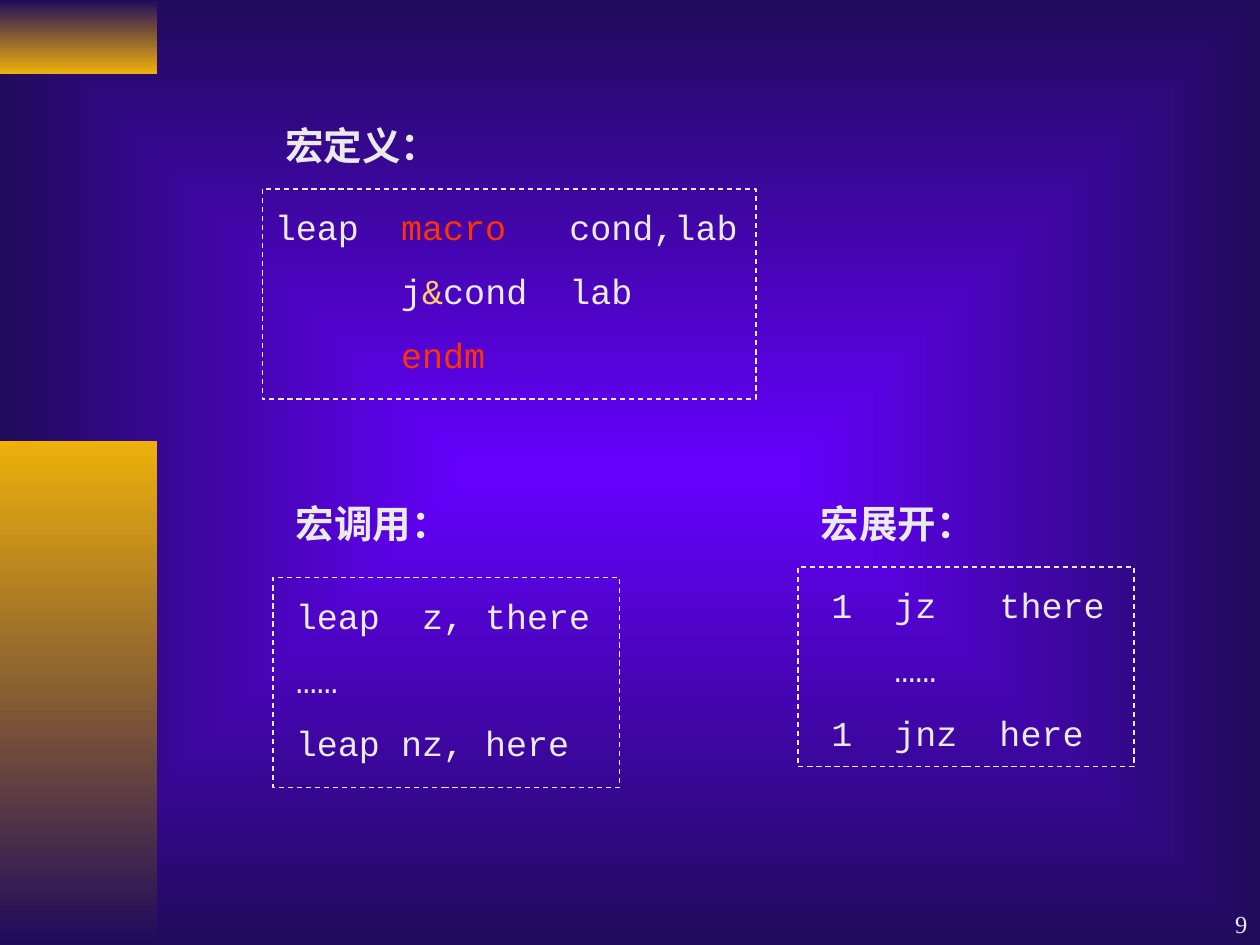
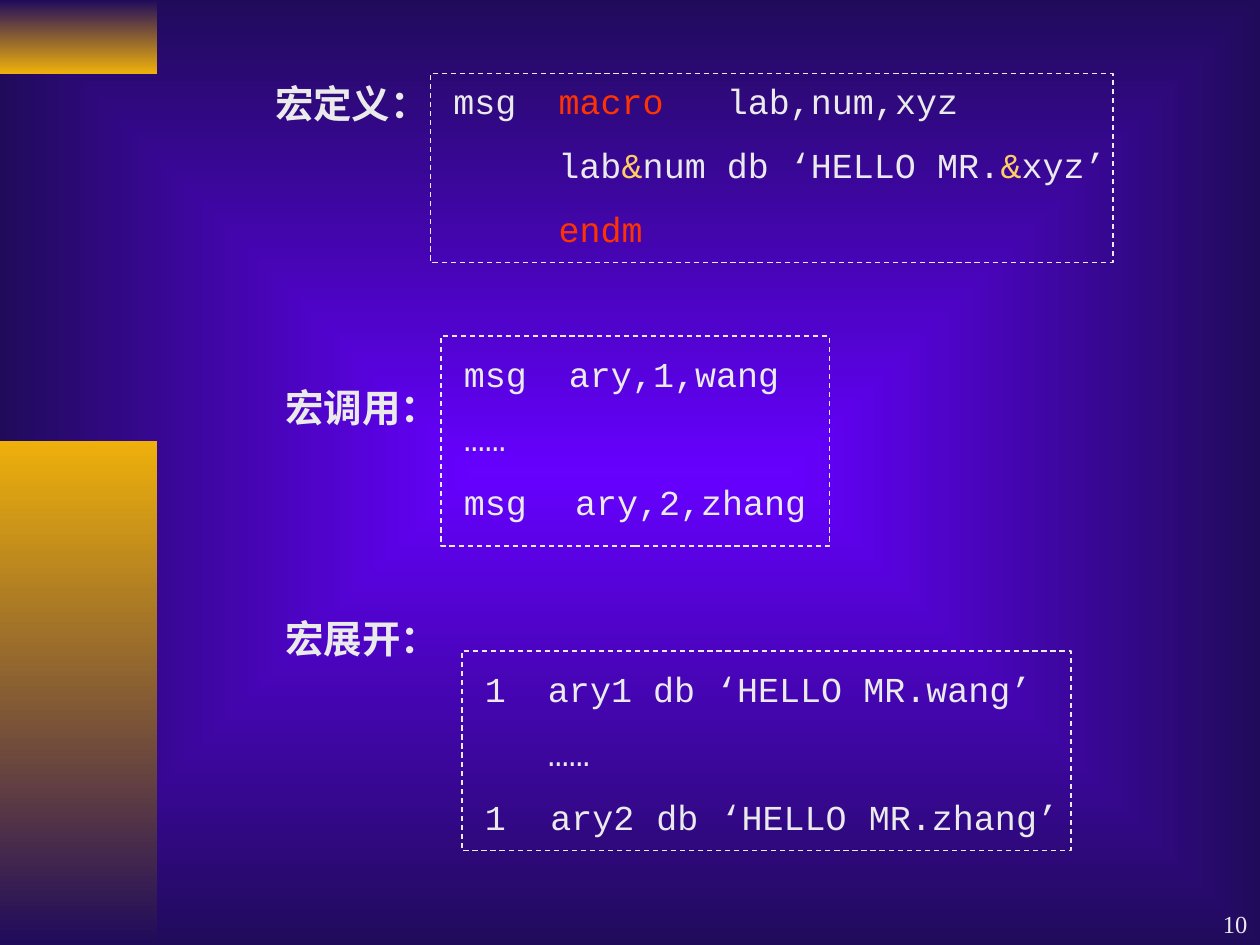
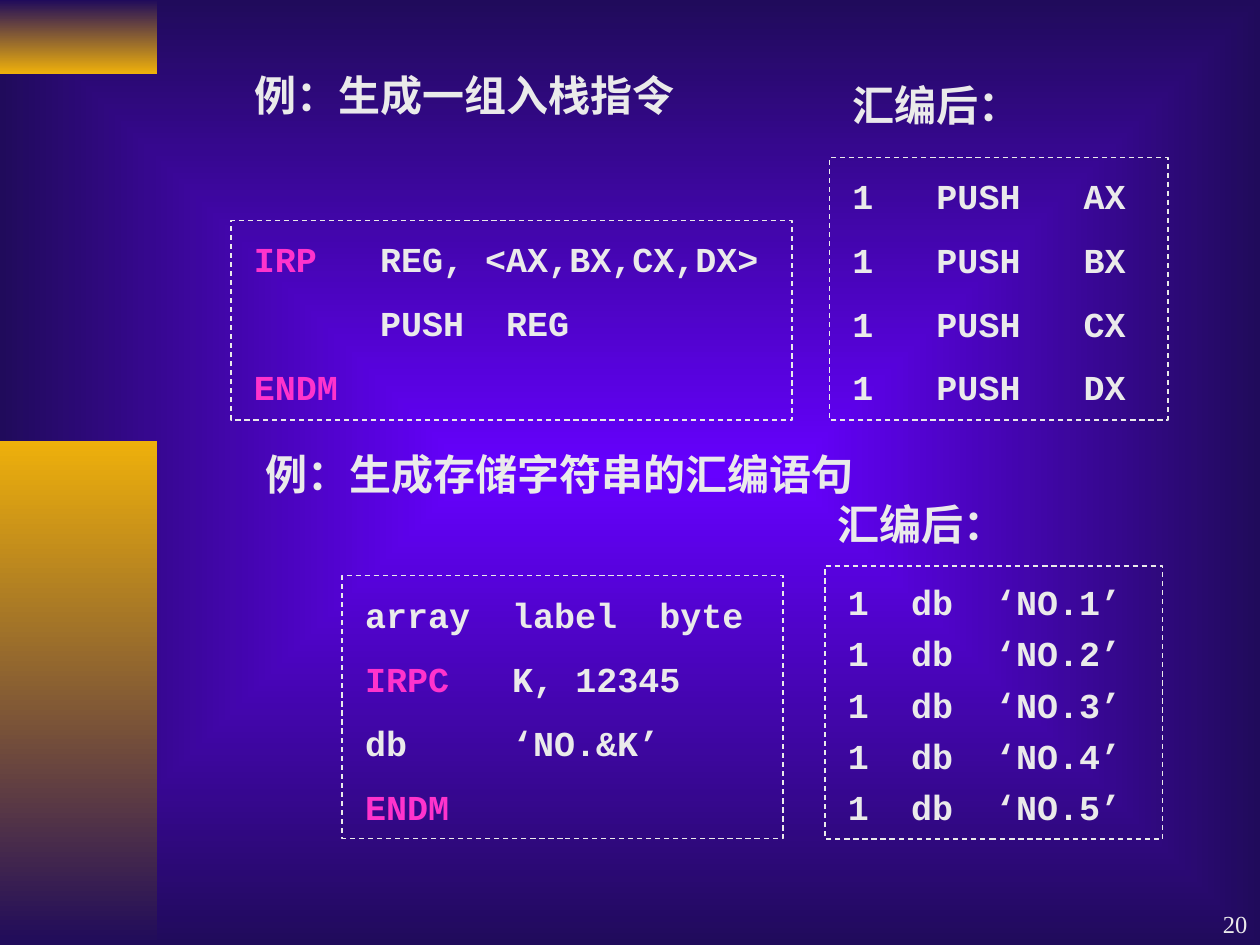
from lxml import etree
from pptx import Presentation
from pptx.dml.color import RGBColor
from pptx.enum.dml import MSO_LINE
from pptx.enum.shapes import MSO_SHAPE
from pptx.enum.text import MSO_ANCHOR, MSO_AUTO_SIZE, PP_ALIGN
from pptx.oxml import parse_xml
from pptx.oxml.ns import nsdecls, qn
from pptx.util import Pt

COLOURS = {"violet": "6600FF", "navy": "200B5B", "gold": "EEB00B", "light": "EAEAEA",
           "red": "FF3300", "amber": "FFCC66", "pink": "FF33CC"}
KEYWORDS = {"macro": "red", "endm": "red", "&": "amber",
            "IRP": "pink", "IRPC": "pink", "ENDM": "pink"}
CODE_FONT, HEADING_FONT, NUMBER_FONT = "Courier New", "Noto Sans Mono", "Times New Roman"
CODE_SIZE, CODE_LEADING = 20, 24
SPACE_RATIO = 0.625  # space before a paragraph, per point of text size

# Bands: box, top colour, bottom colour
BANDS = [((0, 0, 90, 42), "navy", "gold"), ((0, 252, 90, 288), "gold", "navy")]

# Headings: text, box; the first one is the slide title.
# Codes: frame, text offset in the frame, text width, lines made of spans.
SLIDES = [
    {"number": 9, "heading_size": 22, "bold": False,
     "headings": [("宏定义：", (156, 66, 120, 34)),
                  ("宏调用：", (162, 282, 120, 34)),
                  ("宏展开：", (462, 282, 120, 34))],
     "codes": [
         {"frame": (150, 108, 282, 120), "offset": (0, 6), "width": 288,
          "lines": [("leap  ", "macro", "   cond,lab"),
                    ("      j", "&", "cond  lab"),
                    ("      ", "endm")]},
         {"frame": (156, 330, 198, 120), "offset": (6, 6), "width": 192,
          "lines": [("leap  z, there",), ("……",), ("leap nz, here",)]},
         {"frame": (456, 324, 192, 114), "offset": (12, 6), "width": 174,
          "lines": [("1  jz   there",), ("   ……",), ("1  jnz  here",)]}]},
    {"number": 10, "heading_size": 22, "bold": False,
     "headings": [("宏定义：", (150, 42, 120, 34)),
                  ("宏调用：", (156, 216, 120, 34)),
                  ("宏展开：", (156, 348, 120, 34))],
     "codes": [
         {"frame": (246, 42, 390, 108), "offset": (6, 0), "width": 390,
          "lines": [("msg  ", "macro", "   lab,num,xyz"),
                    ("     lab", "&", "num db ‘HELLO MR.", "&", "xyz’"),
                    ("     ", "endm")]},
         {"frame": (252, 192, 222, 120), "offset": (6, 6), "width": 210,
          "lines": [("msg  ary,1,wang",), ("……",), ("msg  ary,2,zhang ",)]},
         {"frame": (264, 372, 348, 114), "offset": (6, 6), "width": 342,
          "lines": [("1  ary1 db ‘HELLO MR.wang’",), ("   ……",),
                    ("1  ary2 db ‘HELLO MR.zhang’ ",)]}]},
    {"number": 20, "heading_size": 24, "bold": True,
     "headings": [("例：生成一组入栈指令", (138, 36, 279, 36)),
                  ("汇编后：", (480, 42, 139, 36)),
                  ("例：生成存储字符串的汇编语句", (144.5, 252.5, 402.5, 36)),
                  ("汇编后：", (471.5, 281.5, 178, 36))],
     "codes": [
         {"frame": (132, 126, 320.5, 114), "offset": (6, 6), "width": 320.5,
          "lines": [("IRP", "   REG, <AX,BX,CX,DX>"), ("      PUSH  REG",), ("ENDM",)]},
         {"frame": (474, 90, 193.5, 150), "offset": (6, 6), "width": 181.5,
          "lines": [(f"1   PUSH   {register}",) for register in ("AX", "BX", "CX", "DX")]},
         {"frame": (195.5, 329, 252, 150), "offset": (6, 6.5), "width": 240,
          "lines": [("array  label  byte",), ("IRPC", "   K, 12345"),
                    ("db     ‘NO.&K’",), ("ENDM",)]},
         {"frame": (471.5, 323.5, 193, 156), "offset": (6, 12), "width": 199.5,
          "leading": 0.7 * CODE_LEADING,
          "lines": [(f"1  db  ‘NO.{count}’",) for count in range(1, 6)]}]},
]


def colour(name):
    return RGBColor.from_string(COLOURS[name])


def points(values):
    return [Pt(value) for value in values]


def set_gradient(fill, first, last):
    fill.gradient()
    for stop, name in zip(fill.gradient_stops, (first, last)):
        stop.color.rgb = colour(name)


def format_span(span, font, size, bold=False, shade="light"):
    span.font.name, span.font.size, span.font.bold = font, Pt(size), bold
    span.font.color.rgb = colour(shade)
    # East Asian characters take the same font
    latin = span.font._element.find(qn("a:latin"))
    east_asian = etree.Element(qn("a:ea"), typeface=font)
    latin.addnext(east_asian)


def prepare_frame(box, anchor=MSO_ANCHOR.TOP, grow=True):
    frame = box.text_frame
    frame.word_wrap = True
    frame.vertical_anchor = anchor
    frame.auto_size = MSO_AUTO_SIZE.SHAPE_TO_FIT_TEXT if grow else MSO_AUTO_SIZE.NONE
    return frame


def set_master(deck, page):
    # Background glow, from the centre outwards
    master = deck.slide_master
    set_gradient(master.background.fill, "violet", "navy")
    gradient = master.element.find(".//" + qn("p:bg")).find(".//" + qn("a:gradFill"))
    gradient.replace(gradient.find(qn("a:lin")), parse_xml(
        f'<a:path {nsdecls("a")} path="rect">'
        '<a:fillToRect l="50000" t="50000" r="50000" b="50000"/></a:path>'))
    # Side bands, moved to the master so that every slide shows them
    for box, top, bottom in BANDS:
        band = page.shapes.add_shape(MSO_SHAPE.RECTANGLE, *points(box))
        band.shadow.inherit = False
        band.line.fill.background()
        set_gradient(band.fill, top, bottom)
        band.fill.gradient_angle = 270
        master.shapes.element.insert(2, band.element)


def add_heading(page, text, box, size, is_title):
    if is_title:
        heading = page.shapes.title
        heading.left, heading.top, heading.width, heading.height = points(box)
    else:
        heading = page.shapes.add_textbox(*points(box))
    para = prepare_frame(heading).paragraphs[0]
    para.text = text
    para.alignment = PP_ALIGN.LEFT
    para.space_before = Pt(SPACE_RATIO * size)
    format_span(para.runs[0], HEADING_FONT, size, bold=True)


def add_code(page, code, bold):
    left, top, width, height = code["frame"]
    border = page.shapes.add_shape(MSO_SHAPE.RECTANGLE, *points(code["frame"]))
    border.shadow.inherit = False
    border.fill.background()
    border.line.color.rgb = colour("light")
    border.line.width = Pt(0.75)
    border.line.dash_style = MSO_LINE.DASH

    shift_x, shift_y = code["offset"]
    box = page.shapes.add_textbox(
        *points((left + shift_x, top + shift_y, code["width"], height - 15)))
    frame = prepare_frame(box)
    for index, line in enumerate(code["lines"]):
        para = frame.add_paragraph() if index else frame.paragraphs[0]
        para.alignment = PP_ALIGN.JUSTIFY
        para.space_before = Pt(SPACE_RATIO * CODE_SIZE)
        para.line_spacing = Pt(code.get("leading", CODE_LEADING))
        for text in line:
            span = para.add_run()
            span.text = text
            format_span(span, CODE_FONT, CODE_SIZE, bold, KEYWORDS.get(text, "light"))


def add_number(page, number):
    box = page.shapes.add_textbox(*points((570, 504, 150, 36)))
    para = prepare_frame(box, MSO_ANCHOR.BOTTOM, grow=False).paragraphs[0]
    para.text = str(number)
    para.alignment = PP_ALIGN.RIGHT
    format_span(para.runs[0], NUMBER_FONT, 14)


def main():
    deck = Presentation()
    deck.slide_width, deck.slide_height = Pt(720), Pt(540)
    title_only = deck.slide_layouts[5]
    for index, content in enumerate(SLIDES):
        page = deck.slides.add_slide(title_only)
        if index == 0:
            set_master(deck, page)
        for order, (text, box) in enumerate(content["headings"]):
            add_heading(page, text, box, content["heading_size"], is_title=order == 0)
        for code in content["codes"]:
            add_code(page, code, content["bold"])
        add_number(page, content["number"])
    deck.save("out.pptx")


if __name__ == "__main__":
    main()
